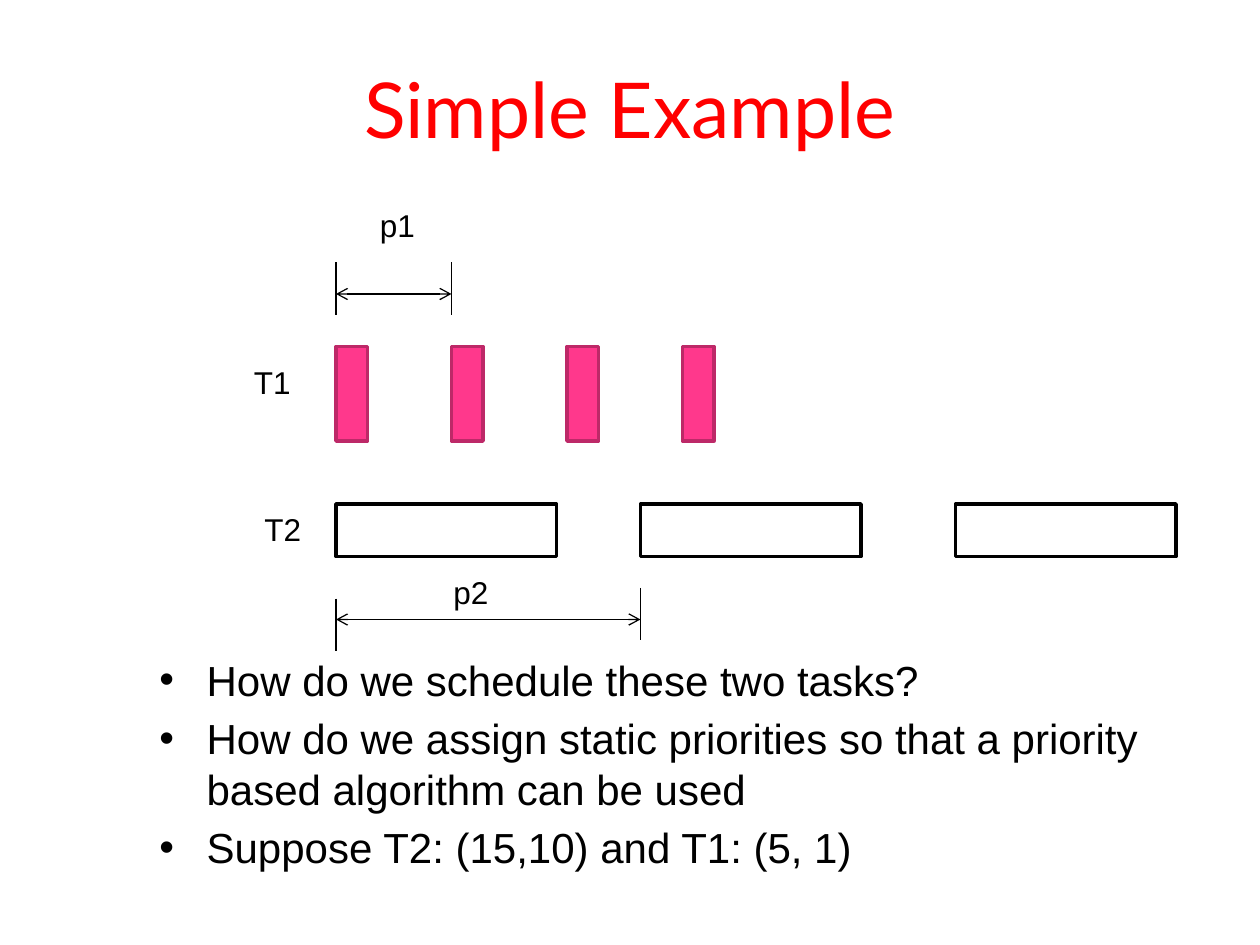
from lxml import etree
from pptx import Presentation
from pptx import util as u
from pptx.dml.color import RGBColor
from pptx.enum import shapes, text
from pptx.oxml.ns import qn

# Content: lengths in px, 120 px to the inch
SCALE = 7620
COLORS = {"title": "FF0000", "ink": "000000", "paper": "FFFFFF",
          "pink": "FF388C", "pink_edge": "BD2968"}
TITLE = "Simple Example"
QUESTIONS = [
    "How do we schedule these two tasks?",
    "How do we assign static priorities so that a priority based algorithm can be used",
    "Suppose T2: (15,10) and T1: (5, 1)",
]
START, PERIOD_1, PERIOD_2 = 320, 110, 290
TASKS = [
    {"lefts": [START + i * PERIOD_1 for i in range(4)], "top": 330,
     "size": (30, 90), "fill": "pink", "line": "pink_edge"},
    {"lefts": [START, START + PERIOD_2, 910], "top": 480,
     "size": (210, 50), "fill": "paper", "line": "ink"},
]
LABELS = [("T1", 230, 340), ("T2", 240, 480), ("p1", 350, 190), ("p2", 420, 540)]
# Period length, arrow height, tops of the left and right ticks
PERIODS = [(PERIOD_1, 280, 250, 250), (PERIOD_2, 590, 570, 560)]
TICK = 50
INDENT = 45


def px(*lengths):
    return [u.Emu(length * SCALE) for length in lengths]


def color(name):
    return RGBColor.from_string(COLORS[name])


def style(paragraph, size, name="ink", font="Arial"):
    for run in paragraph.runs:
        run.font.size = u.Pt(size)
        run.font.name = font
        run.font.color.rgb = color(name)


def add_text(lines, box, size, wrap):
    shape = slide.shapes.add_textbox(*px(*box))
    frame = shape.text_frame
    frame.word_wrap = wrap
    frame.text = "\n".join(lines)
    for paragraph in frame.paragraphs:
        style(paragraph, size)
    return frame


def add_line(x1, y1, x2, y2, arrows=False):
    connector = slide.shapes.add_connector(
        shapes.MSO_CONNECTOR.STRAIGHT, *px(x1, y1, x2, y2))
    connector.line.width = u.Pt(0.75)
    connector.line.color.rgb = color("ink")
    if arrows:
        line = connector.line._get_or_add_ln()
        for end in ("a:headEnd", "a:tailEnd"):
            etree.SubElement(line, qn(end), type="arrow")
    etree.SubElement(connector._element.spPr, qn("a:effectLst"))


presentation = Presentation()
presentation.slide_width, presentation.slide_height = px(1200, 900)
slide = presentation.slides.add_slide(presentation.slide_layouts[5])

# Title
title = slide.shapes.title
title.left, title.top, title.width, title.height = px(60, 36, 1080, 134)
title.text_frame.text = TITLE
title.text_frame.vertical_anchor = text.MSO_ANCHOR.MIDDLE
title.text_frame.paragraphs[0].alignment = text.PP_ALIGN.CENTER
style(title.text_frame.paragraphs[0], 44, "title", "Lato")

# Questions
questions = add_text(QUESTIONS, (140, 617, 960, 226), 24, True)
for paragraph in questions.paragraphs:
    paragraph.space_before = u.Pt(4.8)
    properties = paragraph._p.get_or_add_pPr()
    properties.set("marL", str(INDENT * SCALE))
    properties.set("indent", str(-INDENT * SCALE))
    etree.SubElement(properties, qn("a:buFont"), typeface="Arial")
    etree.SubElement(properties, qn("a:buChar"), char="•")

# Task executions
for task in TASKS:
    for left in task["lefts"]:
        block = slide.shapes.add_shape(
            shapes.MSO_SHAPE.RECTANGLE, *px(left, task["top"], *task["size"]))
        block.shadow.inherit = False
        block.fill.solid()
        block.fill.fore_color.rgb = color(task["fill"])
        block.line.color.rgb = color(task["line"])
        block.line.width = u.Pt(2)

# Period arrows and ticks
for length, arrow_y, left_top, right_top in PERIODS:
    end = START + length
    add_line(START, arrow_y, end, arrow_y, arrows=True)
    add_line(START, left_top, START, left_top + TICK)
    add_line(end, right_top, end, right_top + TICK)

# Labels
for label, left, top in LABELS:
    add_text([label], (left, top, 60, 48), 18, False)

presentation.save("out.pptx")
